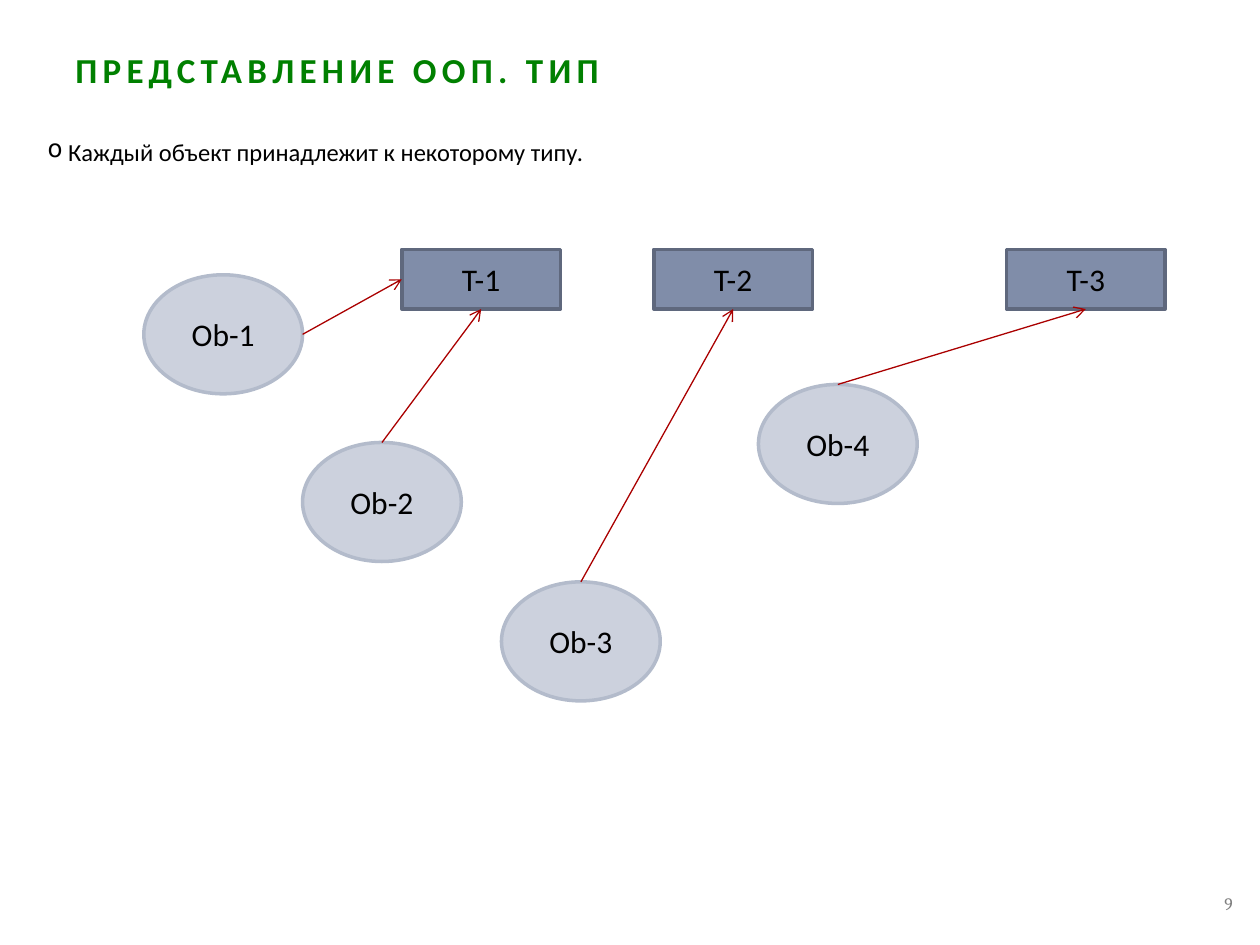
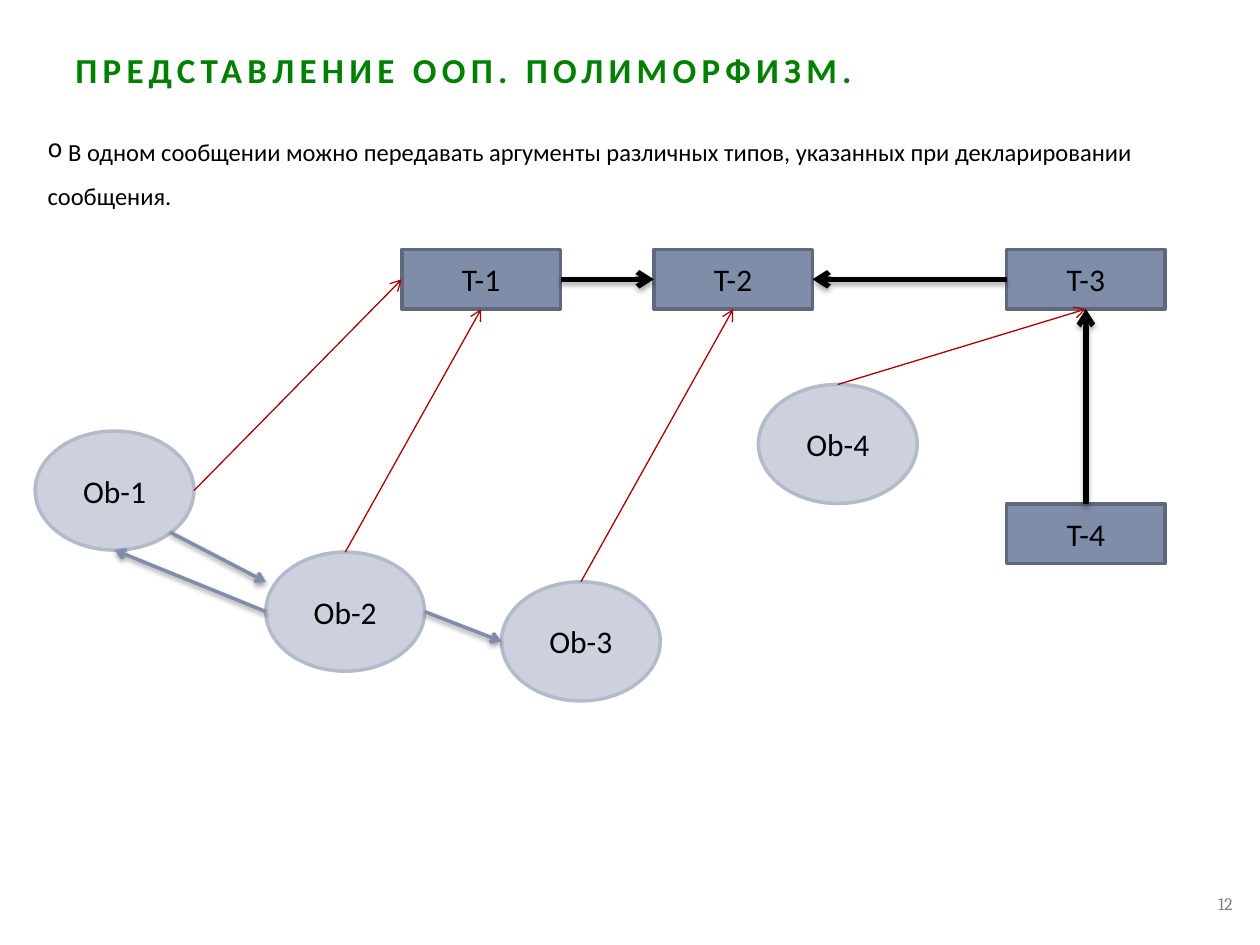
"""Builds two slides on object types and polymorphism in object-oriented programming."""
from lxml.etree import SubElement
from pptx import Presentation
from pptx.dml.color import RGBColor
from pptx.enum.shapes import MSO_CONNECTOR as Connector, MSO_SHAPE as Shape
from pptx.enum.text import MSO_ANCHOR as Anchor, MSO_AUTO_SIZE as AutoSize, PP_ALIGN as Align
from pptx.oxml.ns import qn
from pptx.util import Cm, Pt

GREEN = RGBColor(0x00, 0x80, 0x00)
GREY = RGBColor(0x80, 0x80, 0x80)
BLACK = RGBColor(0x00, 0x00, 0x00)
RED = RGBColor(0xAA, 0x00, 0x00)
PALE = RGBColor(0xCC, 0xD1, 0xDD)
PALE_EDGE = RGBColor(0xB3, 0xBB, 0xCB)
SLATE = RGBColor(0x80, 0x8D, 0xA9)
SLATE_EDGE = RGBColor(0x5F, 0x68, 0x7D)
BODY_FONT, NUMBER_FONT = "Calibri", "Cambria"

NODE_WIDTH, OBJECT_HEIGHT, TYPE_HEIGHT = 3.2, 2.4, 1.2
TYPE_TOP = 5.03

ANCHORS = {"top": (0.5, 0), "left": (0, 0.5), "bottom": (0.5, 1), "right": (1, 0.5),
           "lower right": (0.85, 0.85), "upper left": (0, 0.25)}
SITES = ("top", "left", "bottom", "right")

# colour, width, shadow (opacity %, distance in points)
ARROWS = {"instance": (RED, 0.75, None),
          "message": (SLATE, 2, (38, 1.6)),
          "inherits": (BLACK, 3, (35, 1.8))}

TYPES = {"T-1": (8.1, TYPE_TOP), "T-2": (13.18, TYPE_TOP), "T-3": (20.29, TYPE_TOP)}
OBJECTS = {"Ob-3": (10.11, 11.73), "Ob-4": (15.29, 7.75)}
INSTANCES = [("instance", "Ob-1", "right", "T-1", "left"),
             ("instance", "Ob-2", "top", "T-1", "bottom"),
             ("instance", "Ob-3", "top", "T-2", "bottom"),
             ("instance", "Ob-4", "top", "T-3", "bottom")]

PAGES = [
    {"title": "ПРЕДСТАВЛЕНИЕ ООП. ТИП",
     "number": "9",
     "body": " Каждый объект принадлежит к некоторому типу.",
     "body_height": 1.07,
     "objects": {"Ob-1": (2.9, 5.54), "Ob-2": (6.1, 8.92), **OBJECTS},
     "types": TYPES,
     "links": INSTANCES},
    {"title": "ПРЕДСТАВЛЕНИЕ ООП. ПОЛИМОРФИЗМ.",
     "number": "12",
     "body": " В одном сообщении можно передавать аргументы различных типов, "
             "указанных при декларировании сообщения.",
     "body_height": 2.06,
     "objects": {"Ob-1": (0.71, 8.69), "Ob-2": (5.36, 11.13), **OBJECTS},
     "types": {**TYPES, "T-4": (20.29, 10.16)},
     "links": INSTANCES + [("message", "Ob-1", "lower right", "Ob-2", "upper left"),
                           ("message", "Ob-2", "left", "Ob-1", "bottom"),
                           ("message", "Ob-2", "right", "Ob-3", "left"),
                           ("inherits", "T-1", "right", "T-2", "left"),
                           ("inherits", "T-3", "left", "T-2", "right"),
                           ("inherits", "T-4", "top", "T-3", "bottom")]},
]


def style(para, size, colour, font=BODY_FONT, bold=False):
    para.font.size = Pt(size)
    para.font.name = font
    para.font.bold = bold
    para.font.color.rgb = colour


def add_text(page, area, text, anchor=Anchor.MIDDLE):
    box = page.shapes.add_textbox(*map(Cm, area))
    box.text_frame.word_wrap = True
    box.text_frame.vertical_anchor = anchor
    para = box.text_frame.paragraphs[0]
    para.text = text
    return box, para


def add_title(page, text):
    _, para = add_text(page, (1.27, 0.97, 20.62, 0.97), text)
    style(para, 20, GREEN, bold=True)
    para.line_spacing = 0.9
    para.runs[0].font._element.set("spc", "300")


def add_number(page, text):
    _, para = add_text(page, (19.18, 17.7, 5.92, 1.02), text)
    style(para, 10, GREY, NUMBER_FONT)
    para.alignment = Align.RIGHT


def add_body(page, text, height):
    box, para = add_text(page, (0.71, 2.34, 23.8, height), text, Anchor.TOP)
    box.text_frame.auto_size = AutoSize.SHAPE_TO_FIT_TEXT
    para.line_spacing = 1.5
    properties = para._p.get_or_add_pPr()
    properties.set("marL", "0")
    properties.set("indent", "0")
    SubElement(properties, qn("a:buChar"), char="o")
    style(para, 14, BLACK)


def add_node(page, name, place, kind, height, fill, edge):
    node = page.shapes.add_shape(kind, *map(Cm, (*place, NODE_WIDTH, height)))
    node.shadow.inherit = False
    node.fill.solid()
    node.fill.fore_color.rgb = fill
    node.line.color.rgb = edge
    node.line.width = Pt(2)
    node.text_frame.vertical_anchor = Anchor.MIDDLE
    para = node.text_frame.paragraphs[0]
    para.text = name
    para.alignment = Align.CENTER
    style(para, 18, BLACK)
    return node


def point(node, side):
    across, down = ANCHORS[side]
    return int(node.left + across * node.width), int(node.top + down * node.height)


def add_arrow(page, kind, source, source_side, target, target_side):
    colour, width, shadow = ARROWS[kind]
    arrow = page.shapes.add_connector(Connector.STRAIGHT, *point(source, source_side),
                                      *point(target, target_side))
    for node, side, join in ((source, source_side, arrow.begin_connect),
                             (target, target_side, arrow.end_connect)):
        if node.auto_shape_type == Shape.RECTANGLE or side == "top":
            join(node, SITES.index(side))
    arrow.line.color.rgb = colour
    arrow.line.width = Pt(width)
    properties = arrow._element.spPr
    SubElement(properties.find(qn("a:ln")), qn("a:tailEnd"), type="arrow")
    effects = SubElement(properties, qn("a:effectLst"))
    if shadow:
        opacity, distance = shadow
        outer = SubElement(effects, qn("a:outerShdw"), blurRad=str(Pt(3.1)),
                           dist=str(Pt(distance)), dir="5400000", rotWithShape="0")
        shade = SubElement(outer, qn("a:srgbClr"), val=str(BLACK))
        SubElement(shade, qn("a:alpha"), val=str(opacity * 1000))


def build_page(deck, content):
    page = deck.slides.add_slide(deck.slide_layouts[6])
    add_title(page, content["title"])
    add_number(page, content["number"])
    add_body(page, content["body"], content["body_height"])
    nodes = {}
    for name, place in content["objects"].items():
        nodes[name] = add_node(page, name, place, Shape.OVAL, OBJECT_HEIGHT, PALE, PALE_EDGE)
    for name, place in content["types"].items():
        nodes[name] = add_node(page, name, place, Shape.RECTANGLE, TYPE_HEIGHT, SLATE, SLATE_EDGE)
    for kind, source, source_side, target, target_side in content["links"]:
        add_arrow(page, kind, nodes[source], source_side, nodes[target], target_side)


def main():
    deck = Presentation()
    deck.slide_width, deck.slide_height = Cm(25.4), Cm(19.05)
    for content in PAGES:
        build_page(deck, content)
    deck.save("out.pptx")


if __name__ == "__main__":
    main()
